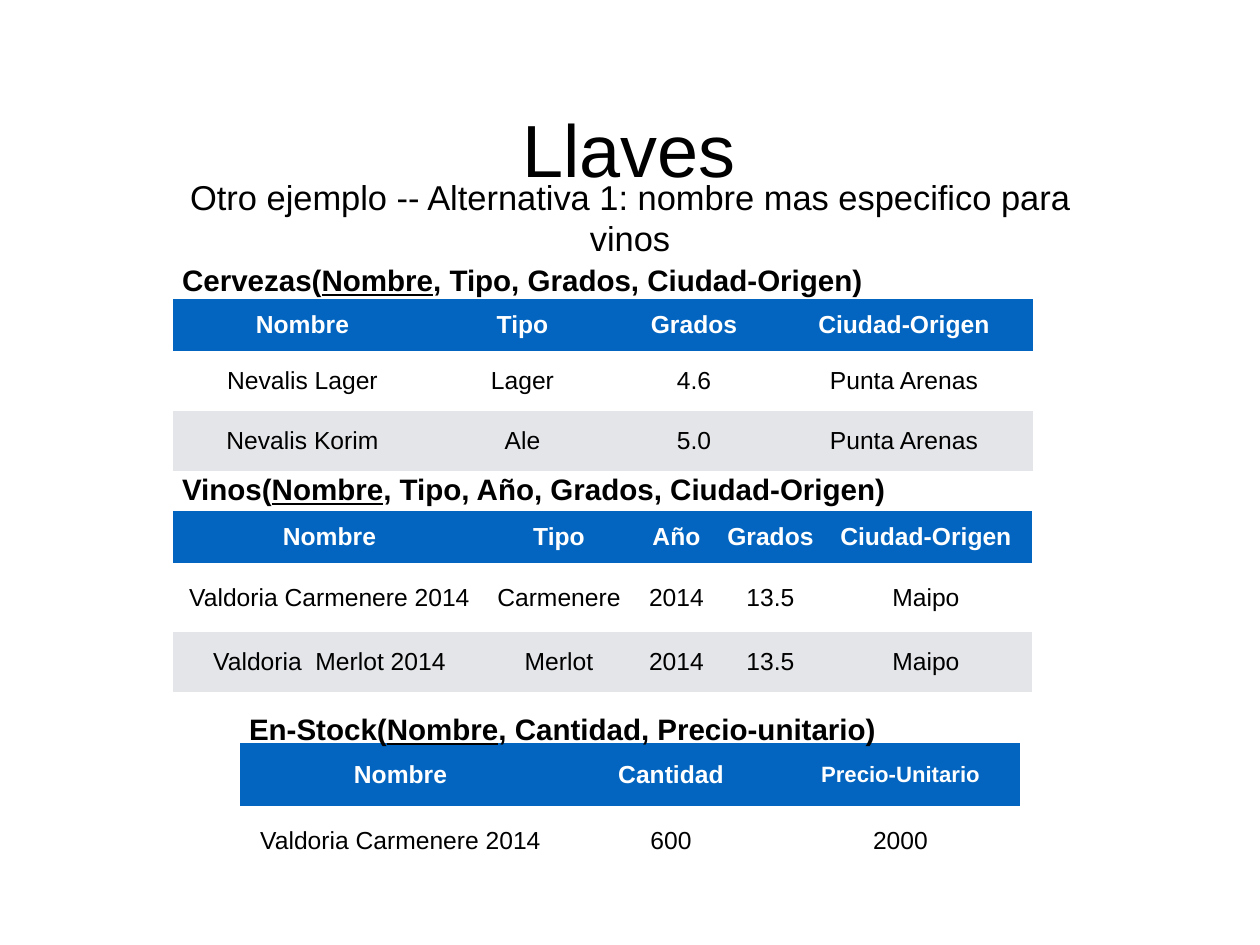
from pptx import Presentation
from pptx.dml.color import RGBColor
from pptx.enum.text import MSO_ANCHOR as Anchor, MSO_AUTO_SIZE as AutoSize, PP_ALIGN as Align
from pptx.oxml.ns import qn
from pptx.util import Pt

PX = 10321  # EMU in one px
BLACK = RGBColor(0x00, 0x00, 0x00)
WHITE = RGBColor(0xFF, 0xFF, 0xFF)
BLUE = RGBColor(0x03, 0x65, 0xC0)
GREY = RGBColor(0xE3, 0xE5, 0xE8)
NO_STYLE = "{2D5ABB26-0587-4C30-8999-92F81FD0307C}"


def add_text(paragraph, text, size=20, color=BLACK, bold=False, underline=False, align=Align.CENTER):
    paragraph.alignment = align
    run = paragraph.add_run()
    run.text = text
    font = run.font
    font.name, font.size, font.bold, font.underline = "Arial", Pt(size), bold, underline
    font.color.rgb = color


def set_frame(frame, inset, anchor, wrap=True):
    frame.auto_size = AutoSize.NONE
    frame.word_wrap = wrap
    frame.vertical_anchor = anchor
    frame.margin_left = frame.margin_right = inset * PX
    frame.margin_top = frame.margin_bottom = inset * PX


presentation = Presentation()
presentation.slide_width, presentation.slide_height = 1260 * PX, 945 * PX
slide = presentation.slides.add_slide(presentation.slide_layouts[5])

# Title
title = slide.shapes.title
title.left, title.top, title.width, title.height = 517 * PX, 98 * PX, 224 * PX, 99 * PX
set_frame(title.text_frame, 5, Anchor.MIDDLE, wrap=False)
add_text(title.text_frame.paragraphs[0], "Llaves", size=60)

# Relations: left, table top, column widths, row heights, rows
relations = [
    (173, 299, [259, 181, 162, 258], [52, 60, 60], [
        ["Nombre", "Tipo", "Grados", "Ciudad-Origen"],
        ["Nevalis Lager", "Lager", "4.6", "Punta Arenas"],
        ["Nevalis Korim", "Ale", "5.0", "Punta Arenas"],
    ]),
    (173, 511, [313, 146, 89, 99, 212], [52, 69, 60], [
        ["Nombre", "Tipo", "Año", "Grados", "Ciudad-Origen"],
        ["Valdoria Carmenere 2014", "Carmenere", "2014", "13.5", "Maipo"],
        ["Valdoria  Merlot 2014", "Merlot", "2014", "13.5", "Maipo"],
    ]),
    (240, 743, [321, 220, 239], [63, 69], [
        ["Nombre", "Cantidad", "Precio-Unitario"],
        ["Valdoria Carmenere 2014", "600", "2000"],
    ]),
]
for left, top, widths, heights, rows in relations:
    frame = slide.shapes.add_table(len(rows), len(widths), left * PX, top * PX,
                                   sum(widths) * PX, sum(heights) * PX)
    table = frame.table
    table.horz_banding = False
    table._tbl.tblPr.find(qn("a:tableStyleId")).text = NO_STYLE
    for column, width in zip(table.columns, widths):
        column.width = width * PX
    for row, height in zip(table.rows, heights):
        row.height = height * PX
    for row_index, values in enumerate(rows):
        header = row_index == 0
        for column_index, value in enumerate(values):
            cell = table.cell(row_index, column_index)
            cell.fill.solid()
            cell.fill.fore_color.rgb = [BLUE, WHITE, GREY][row_index]
            cell.vertical_anchor = Anchor.MIDDLE
            cell.margin_left = cell.margin_right = 5 * PX
            cell.margin_top = cell.margin_bottom = 5 * PX
            add_text(cell.text_frame.paragraphs[0], value, bold=header,
                     size=18 if value == "Precio-Unitario" else 20,
                     color=WHITE if header else BLACK)

# Schemas with the key underlined
schemas = [
    (173, 253, 859, "Cervezas(", ", Tipo, Grados, Ciudad-Origen)"),
    (173, 462, 915, "Vinos(", ", Tipo, Año, Grados, Ciudad-Origen)"),
    (240, 702, 781, "En-Stock(", ", Cantidad, Precio-unitario)"),
]
for left, top, width, relation, attributes in schemas:
    schema = slide.shapes.add_textbox(left * PX, top * PX, width * PX, 89 * PX)
    set_frame(schema.text_frame, 9, Anchor.TOP)
    for part in (relation, "Nombre", attributes):
        add_text(schema.text_frame.paragraphs[0], part, size=24, bold=True,
                 underline=part == "Nombre", align=Align.LEFT)

# Subtitle
subtitle = slide.shapes.add_textbox(144 * PX, 192 * PX, 972 * PX, 51 * PX)
set_frame(subtitle.text_frame, 5, Anchor.MIDDLE)
add_text(subtitle.text_frame.paragraphs[0],
         "Otro ejemplo -- Alternativa 1: nombre mas especifico para vinos", size=28)

presentation.save("out.pptx")
